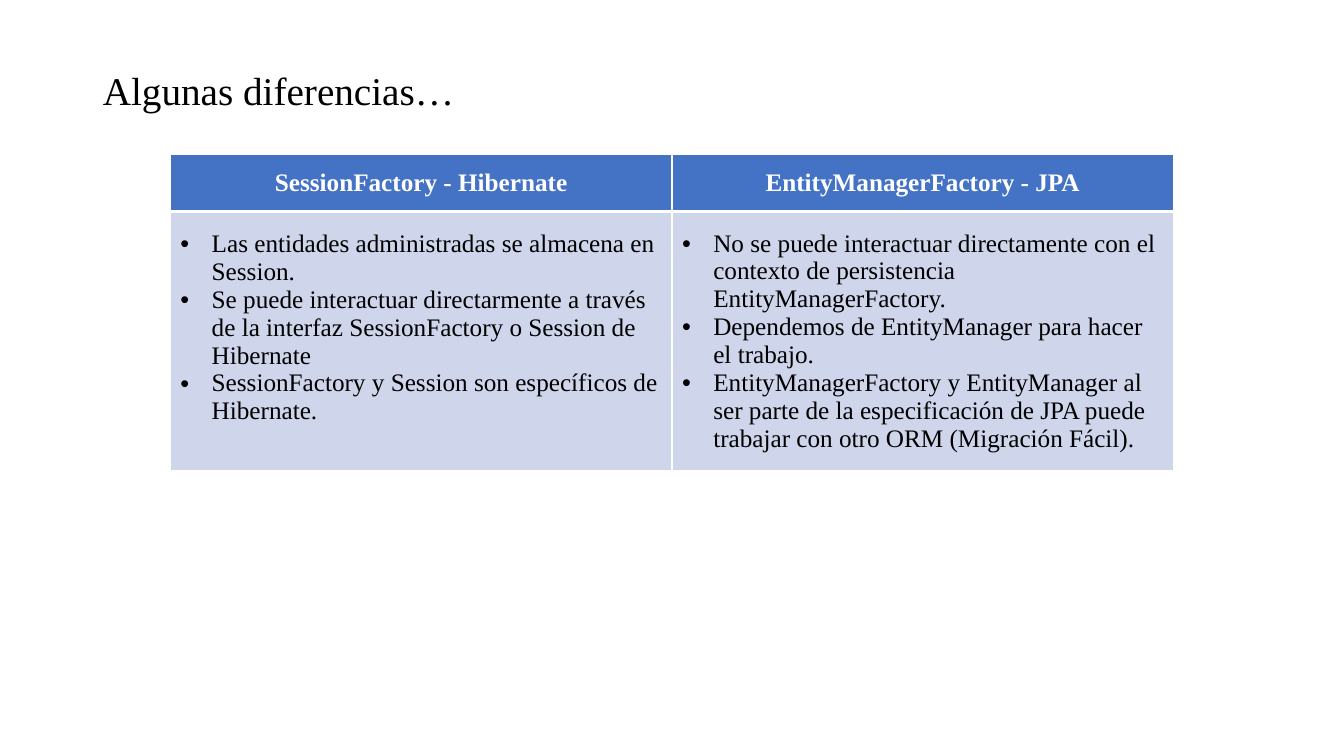
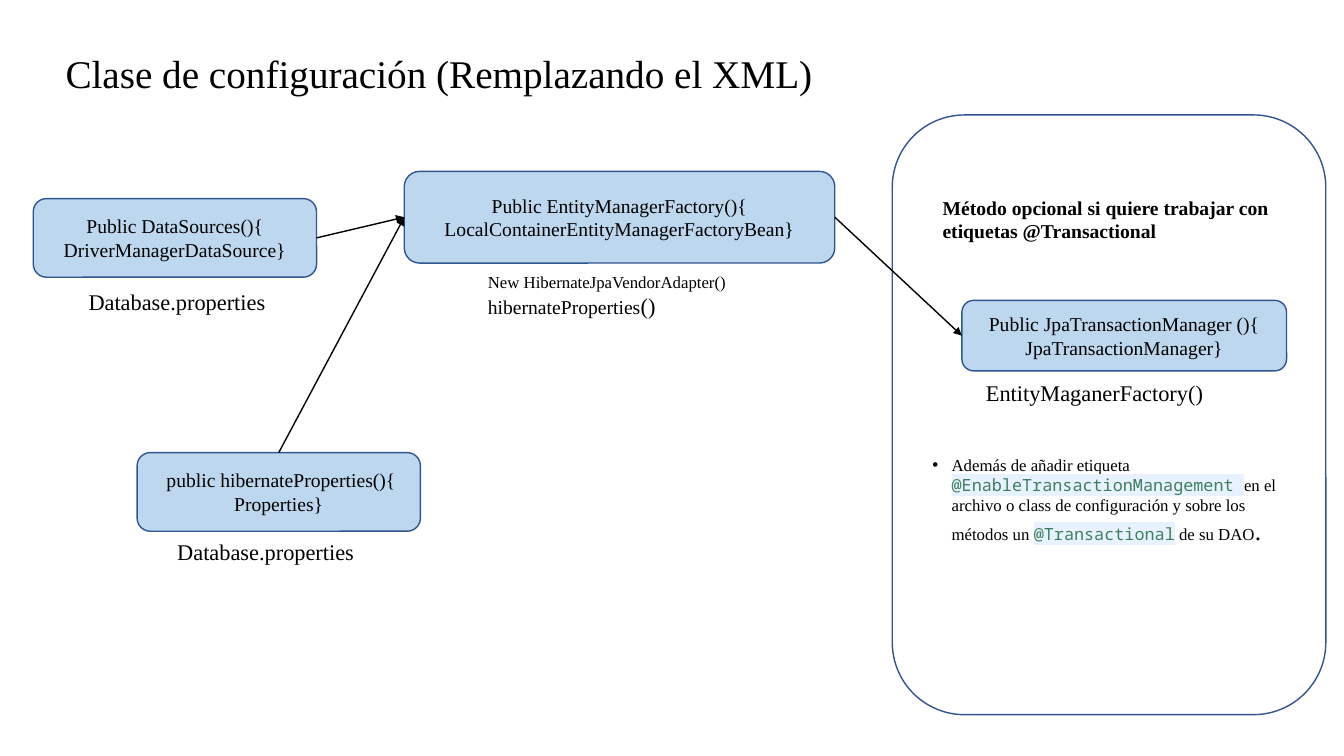
from dataclasses import dataclass

from lxml.etree import SubElement
from pptx import Presentation
from pptx.dml.color import RGBColor as RGB
from pptx.enum.shapes import MSO_CONNECTOR as Connector, MSO_SHAPE as Shape
from pptx.enum.text import MSO_ANCHOR as Anchor, MSO_AUTO_SIZE as AutoSize, PP_ALIGN as Align
from pptx.oxml.ns import qn
from pptx.util import Inches, Pt


@dataclass(frozen=True)
class Theme:
    font: str = "Times New Roman"
    code_font: str = "Noto Sans Mono"
    black: RGB = RGB(0x00, 0x00, 0x00)
    white: RGB = RGB(0xFF, 0xFF, 0xFF)
    header: RGB = RGB(0x44, 0x72, 0xC4)
    body: RGB = RGB(0xCF, 0xD5, 0xEA)
    box: RGB = RGB(0xBD, 0xD7, 0xEE)
    outline: RGB = RGB(0x32, 0x54, 0x91)
    code: RGB = RGB(0x3F, 0x7F, 0x5F)
    highlight: str = "E8F2FE"
    title_size: Pt = Pt(28)
    table_size: Pt = Pt(18)
    caption_size: Pt = Pt(16)
    box_size: Pt = Pt(14)
    small_size: Pt = Pt(12)


theme = Theme()


def style_font(font, size, color=theme.black, name=theme.font, bold=False):
    font.name, font.size, font.bold = name, size, bold
    font.color.rgb = color


def add_bullet(paragraph, indent):
    properties = paragraph._p.get_or_add_pPr()
    properties.set("marL", str(Inches(indent)))
    properties.set("indent", str(-Inches(indent)))
    SubElement(properties, qn("a:buFont"), typeface="Arial")
    SubElement(properties, qn("a:buChar"), char="•")


presentation = Presentation()
presentation.slide_width = Inches(13.33)
presentation.slide_height = Inches(7.5)

# Slides and their titles
slides = []
for title_text, left, top in (
    ("Algunas diferencias…", 0.92, 0.53),
    ("Clase de configuración (Remplazando el XML)", 0.55, 0.36),
):
    slide = presentation.slides.add_slide(presentation.slide_layouts[5])
    title = slide.shapes.title
    title.left, title.top = Inches(left), Inches(top)
    title.width, title.height = Inches(11.5), Inches(0.78)
    title.text_frame.text = title_text
    title.text_frame.vertical_anchor = Anchor.MIDDLE
    paragraph = title.text_frame.paragraphs[0]
    paragraph.alignment = Align.LEFT
    paragraph.line_spacing = 0.9
    style_font(paragraph.font, theme.title_size)
    slides.append(slide)
comparison_slide, configuration_slide = slides

# Comparison table
comparison = {
    "SessionFactory - Hibernate": [
        "Las entidades administradas se almacena en Session.",
        "Se puede interactuar directarmente a través de la interfaz SessionFactory o Session de Hibernate",
        "SessionFactory y Session son específicos de Hibernate.",
    ],
    "EntityManagerFactory - JPA": [
        "No se puede interactuar directamente con el contexto de persistencia EntityManagerFactory.",
        "Dependemos de EntityManager para hacer el trabajo.",
        "EntityManagerFactory y EntityManager al ser parte de la especificación de JPA puede "
        "trabajar con otro ORM (Migración Fácil).",
    ],
}
table = comparison_slide.shapes.add_table(
    2, 2, Inches(1.69), Inches(1.53), Inches(9.95), Inches(3.14)
).table
table.rows[0].height, table.rows[1].height = Inches(0.57), Inches(2.57)
for column, (heading, points) in enumerate(comparison.items()):
    header_cell, body_cell = table.cell(0, column), table.cell(1, column)
    for cell, edge, fill, lines in (
        (header_cell, "a:lnB", theme.header, [heading]),
        (body_cell, "a:lnT", theme.body, points),
    ):
        # Thick white rule between the header and the body
        rule = SubElement(cell._tc.get_or_add_tcPr(), qn(edge), w=str(Pt(3)))
        SubElement(SubElement(rule, qn("a:solidFill")), qn("a:srgbClr"), val=str(theme.white))
        cell.fill.solid()
        cell.fill.fore_color.rgb = fill
        cell.vertical_anchor = Anchor.MIDDLE
        cell.text_frame.text = "\n".join(lines)
        for paragraph in cell.text_frame.paragraphs:
            if cell is header_cell:
                paragraph.alignment = Align.CENTER
                style_font(paragraph.font, theme.table_size, theme.white, bold=True)
            else:
                add_bullet(paragraph, 0.31)
                style_font(paragraph.font, theme.table_size)
# The shorter list starts level with the longer one
table.cell(1, 0).margin_bottom = Inches(0.32)

# Configuration boxes and the panel for the optional method
shapes = configuration_slide.shapes
boxes = {}
for key, left, top, width, height, lines in (
    ("panel", 8.85, 1.14, 4.3, 5.95, []),
    ("data source", 0.33, 1.97, 2.81, 0.78, ["Public DataSources(){", "DriverManagerDataSource}"]),
    ("factory", 4.01, 1.7, 4.27, 0.91,
     ["Public EntityManagerFactory(){", "LocalContainerEntityManagerFactoryBean}"]),
    ("properties", 1.36, 4.49, 2.81, 0.78, [" public hibernateProperties(){", "Properties}"]),
    ("transactions", 9.54, 2.98, 3.22, 0.7,
     ["Public JpaTransactionManager (){", "JpaTransactionManager}"]),
):
    box = shapes.add_shape(
        Shape.ROUNDED_RECTANGLE, Inches(left), Inches(top), Inches(width), Inches(height)
    )
    box.shadow.inherit = False
    box.line.color.rgb = theme.outline
    box.line.width = Pt(1)
    if lines:
        box.fill.solid()
        box.fill.fore_color.rgb = theme.box
        box.text_frame.text = "\n".join(lines)
        box.text_frame.vertical_anchor = Anchor.MIDDLE
        for paragraph in box.text_frame.paragraphs:
            paragraph.alignment = Align.CENTER
            style_font(paragraph.font, theme.box_size)
    else:
        box.fill.background()
    boxes[key] = box

# Arrows between the boxes
TOP, LEFT, RIGHT = 0, 1, 3
for start, start_side, end in (
    ("data source", RIGHT, "factory"),
    ("properties", TOP, "factory"),
    ("factory", RIGHT, "transactions"),
):
    arrow = shapes.add_connector(Connector.STRAIGHT, 0, 0, 0, 0)
    arrow.begin_connect(boxes[start], start_side)
    arrow.end_connect(boxes[end], LEFT)
    arrow.line.color.rgb = theme.black
    arrow.line.width = Pt(1)
    SubElement(arrow.line._get_or_add_ln(), qn("a:tailEnd"), type="triangle")
    SubElement(arrow._element.spPr, qn("a:effectLst"))

# Captions and notes: each line is a list of (text, size, style) runs
caption, medium, small = theme.caption_size, theme.box_size, theme.small_size
for left, top, width, height, lines in (
    (0.78, 2.81, 2.36, 0.37, [[("Database.properties", caption, "")]]),
    (1.66, 5.29, 2.36, 0.37, [[("Database.properties", caption, "")]]),
    (9.68, 3.71, 2.81, 0.37, [[("EntityMaganerFactory()", caption, "")]]),
    (4.74, 2.65, 2.81, 0.57, [
        [("New HibernateJpaVendorAdapter()", small, "")],
        [("hibernateProperties", medium, ""), ("()", caption, "")],
    ]),
    (9.25, 1.89, 3.69, 0.57, [
        [("Método opcional si quiere trabajar con etiquetas @Transactional", medium, "bold")],
    ]),
    (9.15, 4.46, 3.87, 1.01, [[
        ("Además de añadir etiqueta ", small, "bullet"),
        ("@EnableTransactionManagement ", small, "code"),
        ("en el archivo o class de configuración y sobre los métodos un ", small, ""),
        ("@Transactional", small, "code"),
        (" de su DAO", small, ""),
        (".", theme.table_size, ""),
    ]]),
):
    text_box = shapes.add_textbox(Inches(left), Inches(top), Inches(width), Inches(height))
    frame = text_box.text_frame
    frame.word_wrap = True
    frame.auto_size = AutoSize.SHAPE_TO_FIT_TEXT
    for index, runs in enumerate(lines):
        paragraph = frame.add_paragraph() if index else frame.paragraphs[0]
        for text, size, style in runs:
            run = paragraph.add_run()
            run.text = text
            if style == "code":
                style_font(run.font, size, theme.code, theme.code_font)
                properties = run.font._element
                highlight = SubElement(properties, qn("a:highlight"))
                SubElement(highlight, qn("a:srgbClr"), val=theme.highlight)
                properties.find(qn("a:solidFill")).addnext(highlight)
            else:
                style_font(run.font, size, bold=style == "bold")
            if style == "bullet":
                add_bullet(paragraph, 0.19)

presentation.save("out.pptx")
